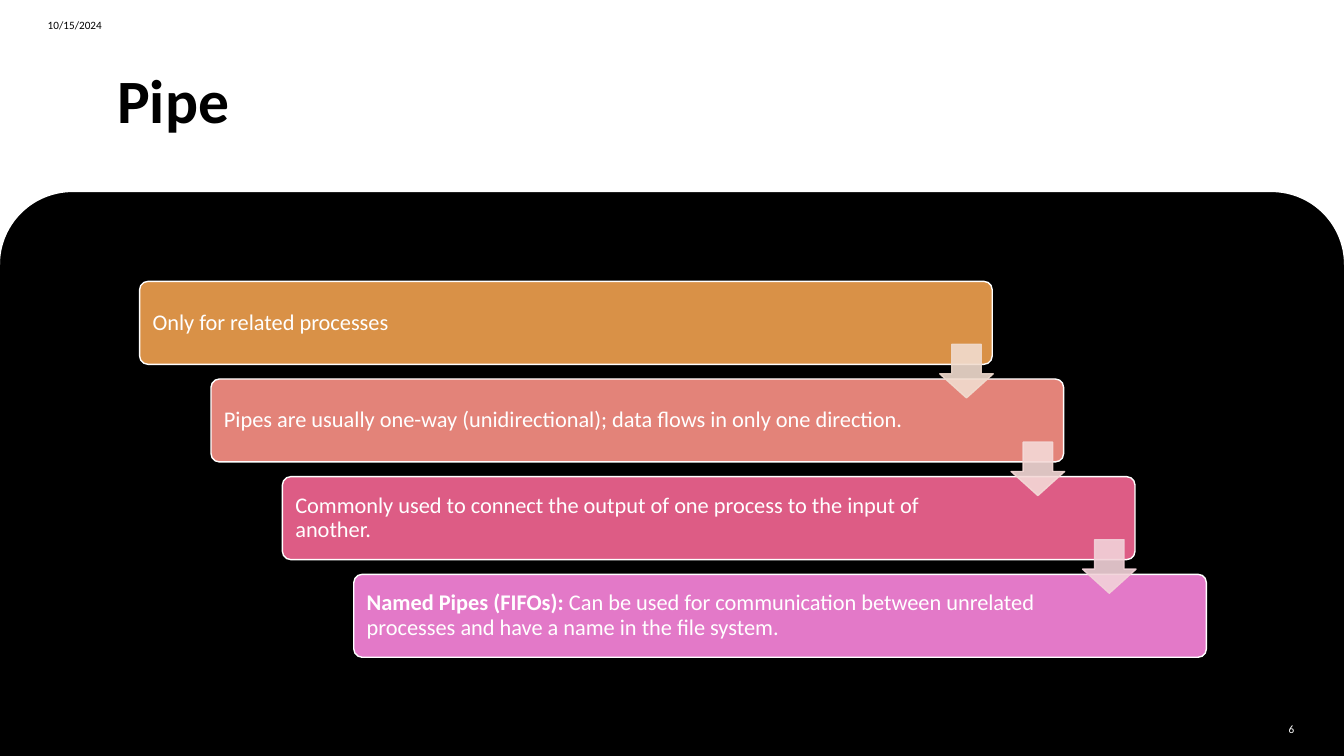
import math

from lxml import etree
from pptx import Presentation
from pptx.dml.color import RGBColor
from pptx.enum.shapes import MSO_SHAPE
from pptx.enum.text import MSO_ANCHOR, MSO_AUTO_SIZE, PP_ALIGN
from pptx.oxml.ns import qn
from pptx.util import Emu, Pt

ROUNDED = MSO_SHAPE.ROUNDED_RECTANGLE
DOWN_ARROW = MSO_SHAPE.DOWN_ARROW
MIDDLE = MSO_ANCHOR.MIDDLE
LEFT, RIGHT = PP_ALIGN.LEFT, PP_ALIGN.RIGHT
NO_AUTOFIT = MSO_AUTO_SIZE.NONE

FONT = "Calibri"
BLACK, WHITE = "000000", "FFFFFF"
SLIDE_W, SLIDE_H = 1280, 720
TITLE_ONLY = 5

STEP_X, STEP_Y = 68, 93
FIRST_STEP = (133, 268, 812, 79)
FIRST_ARROW = (895, 328, 51, 51)

# Each step: fill, bold lead-in, text
STEPS = [
    ("D99147", "", "Only for related processes"),
    ("E38379", "", "Pipes are usually one-way (unidirectional); "
                   "data flows in only one direction."),
    ("DD5C85", "", "Commonly used to connect the output of one process "
                   "to the input of another."),
    ("E379C8", "Named Pipes (FIFOs):",
     " Can be used for communication between unrelated processes "
     "and have a name in the file system."),
]
ARROW_COLORS = ["F1DCCF", "F4D9D7", "F2D2D9"]


def px(length):
    return Emu(round(length * 9525))


def box(left, top, width, height):
    return px(left), px(top), px(width), px(height)


def staircase(first, index):
    """Bounds of the element `index` steps down and right of the first."""
    left, top, width, height = first
    return box(left + index * STEP_X, top + index * STEP_Y, width, height)


def rgb(color):
    return RGBColor.from_string(color)


def paint(shape, fill, line=None):
    shape.shadow.inherit = False
    shape.fill.solid()
    shape.fill.fore_color.rgb = rgb(fill)
    if line:
        shape.line.color.rgb = rgb(line)
        shape.line.width = Pt(1)
    else:
        shape.line.fill.background()


def set_alpha(shape, percent):
    """Give the shape's fill and outline the same opacity."""
    for color in shape.element.spPr.iter(qn("a:srgbClr")):
        etree.SubElement(color, qn("a:alpha"), val=str(percent * 1000))


def format_paragraph(frame, size, color, align=LEFT):
    frame.word_wrap = True
    frame.vertical_anchor = MIDDLE
    paragraph = frame.paragraphs[0]
    paragraph.alignment = align
    paragraph.font.name = FONT
    paragraph.font.size = Pt(size)
    paragraph.font.color.rgb = rgb(color)
    return paragraph


def add_header_band(slide, height=252, radius=69):
    """White area whose lower edge rounds the corners of the black panel."""
    angles = [math.radians(degrees) for degrees in range(0, 91, 3)]
    right_arc = [(SLIDE_W - radius + radius * math.cos(a),
                  height - radius * math.sin(a)) for a in angles]
    left_arc = [(SLIDE_W - x, y) for x, y in reversed(right_arc)]
    outline = [(SLIDE_W, 0)] + right_arc + left_arc
    builder = slide.shapes.build_freeform(0, 0)
    builder.add_line_segments([(px(x), px(y)) for x, y in outline])
    band = builder.convert_to_shape()
    paint(band, WHITE)
    slide.shapes.title.element.addprevious(band.element)


def add_title(slide, text):
    title = slide.shapes.title
    title.left, title.top, title.width, title.height = box(102, 28, 1046, 141)
    title.text_frame.text = text
    title.text_frame.auto_size = NO_AUTOFIT
    paragraph = format_paragraph(title.text_frame, 44, BLACK)
    paragraph.font.bold = True
    paragraph.line_spacing = 0.9


def add_label(slide, text, bounds, color, align=LEFT):
    frame = slide.shapes.add_textbox(*bounds).text_frame
    frame.text = text
    format_paragraph(frame, 8, color, align)


def add_step(slide, index, fill, lead, text):
    step = slide.shapes.add_shape(ROUNDED, *staircase(FIRST_STEP, index))
    step.adjustments[0] = 0.1
    paint(step, fill, WHITE)
    frame = step.text_frame
    frame.margin_left, frame.margin_right = px(10), px(128)
    paragraph = format_paragraph(frame, 16, WHITE)
    paragraph.line_spacing = 0.9
    if lead:
        lead_run = paragraph.add_run()
        lead_run.text = lead
        lead_run.font.bold = True
    paragraph.add_run().text = text


def add_arrow(slide, index, color):
    arrow = slide.shapes.add_shape(DOWN_ARROW, *staircase(FIRST_ARROW, index))
    arrow.adjustments[0] = 0.55
    arrow.adjustments[1] = 0.45
    paint(arrow, color, color)
    set_alpha(arrow, 90)


def main():
    deck = Presentation()
    deck.slide_width, deck.slide_height = px(SLIDE_W), px(SLIDE_H)
    slide = deck.slides.add_slide(deck.slide_layouts[TITLE_ONLY])
    slide.background.fill.solid()
    slide.background.fill.fore_color.rgb = rgb(BLACK)

    add_header_band(slide)
    add_title(slide, "Pipe")
    add_label(slide, "10/15/2024", box(36, 7, 288, 34), BLACK)
    add_label(slide, "6", box(1197, 675, 45, 38), WHITE, RIGHT)
    for index, (fill, lead, text) in enumerate(STEPS):
        add_step(slide, index, fill, lead, text)
    for index, color in enumerate(ARROW_COLORS):
        add_arrow(slide, index, color)

    deck.save("out.pptx")


if __name__ == "__main__":
    main()
